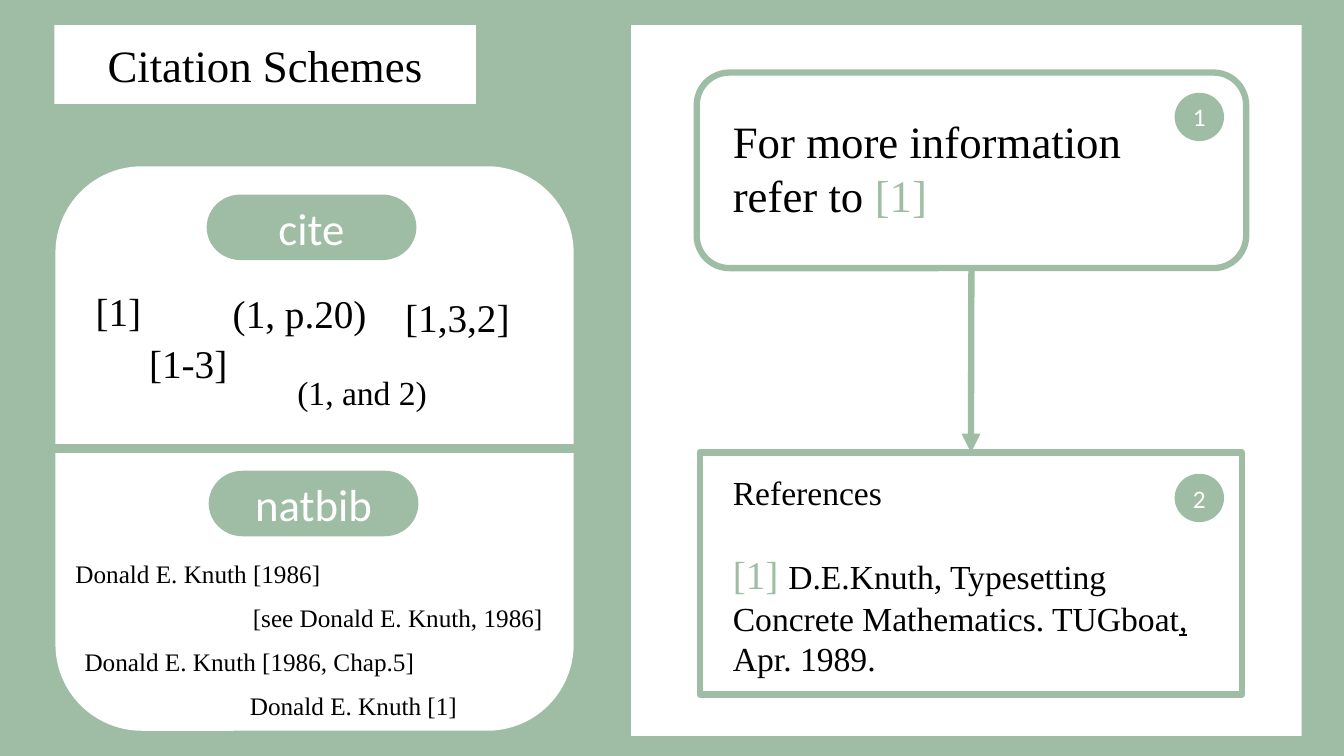
from lxml import etree
from pptx import Presentation
from pptx.dml.color import RGBColor
from pptx.enum.shapes import MSO_CONNECTOR, MSO_SHAPE
from pptx.enum.text import MSO_ANCHOR, MSO_AUTO_SIZE, PP_ALIGN
from pptx.oxml.ns import qn
from pptx.util import Inches, Pt

GREEN = RGBColor(0x9F, 0xBD, 0xA5)
WHITE = RGBColor(0xFF, 0xFF, 0xFF)
BLACK = RGBColor(0, 0, 0)
SERIF = "Times New Roman"
SANS = "Calibri"


class SlideBuilder:
    def __init__(self, slide):
        self.slide = slide
        fill = slide.background.fill
        fill.solid()
        fill.fore_color.rgb = GREEN

    def paint(self, sp, fill, border=None):
        sp.fill.solid()
        sp.fill.fore_color.rgb = fill
        if border:
            sp.line.color.rgb = border
            sp.line.width = Pt(4.5)
        else:
            sp.line.fill.background()

    def run(self, p, text, size, color=BLACK, font=SERIF, underline=None):
        r = p.add_run()
        r.text = text
        r.font.size = Pt(size)
        r.font.name = font
        r.font.color.rgb = color
        r.font.underline = underline

    def center(self, sp, text, size, color, font):
        tf = sp.text_frame
        tf.word_wrap = True
        tf.auto_size = MSO_AUTO_SIZE.NONE
        tf.vertical_anchor = MSO_ANCHOR.MIDDLE
        p = tf.paragraphs[0]
        p.alignment = PP_ALIGN.CENTER
        self.run(p, text, size, color, font)

    def title(self, text, box):
        sp = self.slide.shapes.title
        sp.left, sp.top, sp.width, sp.height = map(Inches, box)
        geom = etree.SubElement(sp._element.spPr, qn("a:prstGeom"), prst="roundRect")
        etree.SubElement(geom, qn("a:avLst"))
        self.paint(sp, WHITE)
        self.center(sp, text, 32, BLACK, SERIF)

    def shape(self, kind, box, fill=WHITE, border=None):
        sp = self.slide.shapes.add_shape(kind, *map(Inches, box))
        sp.shadow.inherit = False
        self.paint(sp, fill, border)
        return sp

    def label(self, kind, box, text, size):
        sp = self.shape(kind, box, GREEN)
        self.center(sp, text, size, WHITE, SANS)

    def text(self, box, *paragraphs, gap=0):
        tf = self.slide.shapes.add_textbox(*map(Inches, box)).text_frame
        tf.word_wrap = True
        tf.auto_size = MSO_AUTO_SIZE.SHAPE_TO_FIT_TEXT
        for i, runs in enumerate(paragraphs):
            p = tf.add_paragraph() if i else tf.paragraphs[0]
            if i:
                p.space_before = Pt(gap)
            for args in runs:
                self.run(p, *args)

    def connector(self, start, start_side, end, end_side, width, arrow=False):
        c = self.slide.shapes.add_connector(MSO_CONNECTOR.STRAIGHT, 0, 0, 0, 0)
        c.begin_connect(start, start_side)
        c.end_connect(end, end_side)
        c.line.color.rgb = GREEN
        c.line.width = Pt(width)
        if arrow:
            etree.SubElement(c.line._get_or_add_ln(), qn("a:tailEnd"), type="triangle")
        etree.SubElement(c._element.spPr, qn("a:effectLst"))


def main():
    prs = Presentation()
    prs.slide_width, prs.slide_height = Inches(13.33), Inches(7.5)
    b = SlideBuilder(prs.slides.add_slide(prs.slide_layouts[5]))
    b.title("Citation Schemes", (0.54, 0.25, 4.18, 0.78))

    b.shape(MSO_SHAPE.RECTANGLE, (6.26, 0.25, 6.65, 7.05))
    sentence = b.shape(MSO_SHAPE.ROUNDED_RECTANGLE, (6.91, 0.72, 5.45, 1.94), border=GREEN)
    references = b.shape(MSO_SHAPE.RECTANGLE, (6.94, 4.49, 5.38, 2.4), border=GREEN)
    b.connector(sentence, 2, references, 0, 4.5, arrow=True)
    b.text((7.17, 1.08, 4.8, 1.18),
           [("For more information refer to ", 32), ("[1]", 32, GREEN)])
    b.text((7.17, 4.63, 5.03, 2.19),
           [("References", 24)],
           [("[1] ", 28, GREEN),
            ("D.E.Knuth, Typesetting Concrete Mathematics. TUGboat", 24),
            (", ", 24, BLACK, SERIF, True),
            ("Apr. 1989.", 24)],
           gap=27.5)
    for number, top in (("1", 0.92), ("2", 4.7)):
        b.label(MSO_SHAPE.OVAL, (11.65, top, 0.49, 0.48), number, 18)

    schemes = b.shape(MSO_SHAPE.ROUNDED_RECTANGLE, (0.55, 1.65, 5.14, 5.6))
    b.connector(schemes, 1, schemes, 3, 6)
    for name, left, top in (("cite", 2.05, 1.93), ("natbib", 2.07, 4.67)):
        b.label(MSO_SHAPE.FLOWCHART_TERMINATOR, (left, top, 2.08, 0.65), name, 32)

    cite_examples = [
        ("[1]", 28, (0.85, 2.8, 0.69, 0.57)),
        ("(1, p.20)", 28, (2.21, 2.82, 1.82, 0.57)),
        ("[1-3]", 28, (1.38, 3.32, 1.18, 0.57)),
        ("(1, and 2)", 24, (2.85, 3.64, 1.51, 0.5)),
        ("[1,3,2]", 28, (3.92, 2.86, 1.51, 0.57)),
    ]
    for text, size, box in cite_examples:
        b.text(box, [(text, size)])

    natbib_examples = [
        ("Donald E. Knuth [1986]", 0.65, 2.84),
        ("[see Donald E. Knuth, 1986]", 2.41, 3.57),
        ("Donald E. Knuth [1986, Chap.5]", 0.74, 3.72),
        ("Donald E. Knuth [1]", 2.38, 2.85),
    ]
    for i, (text, left, width) in enumerate(natbib_examples):
        b.text((left, 5.49 + 0.437 * i, width, 0.4), [(text, 18)])

    prs.save("out.pptx")


if __name__ == "__main__":
    main()
